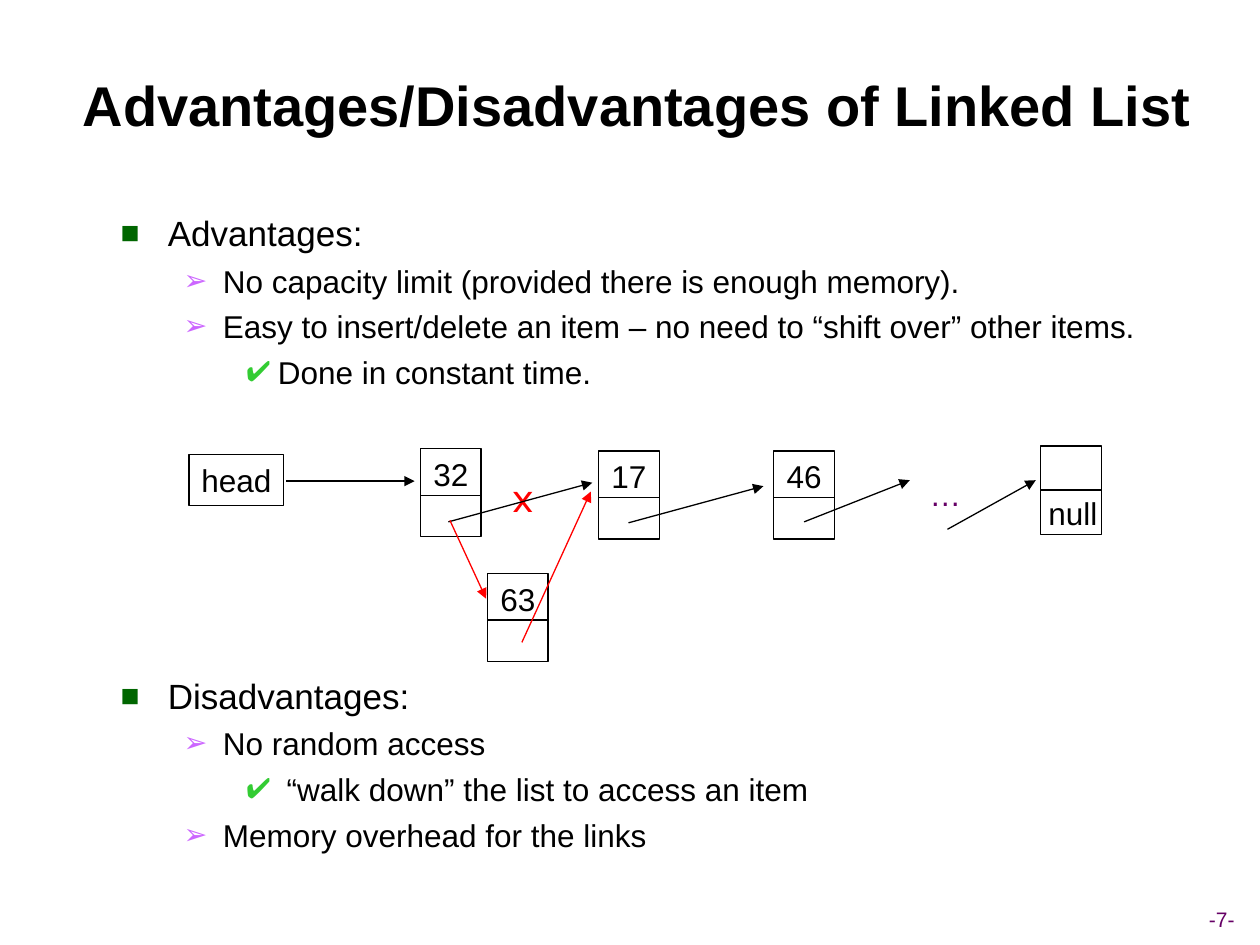
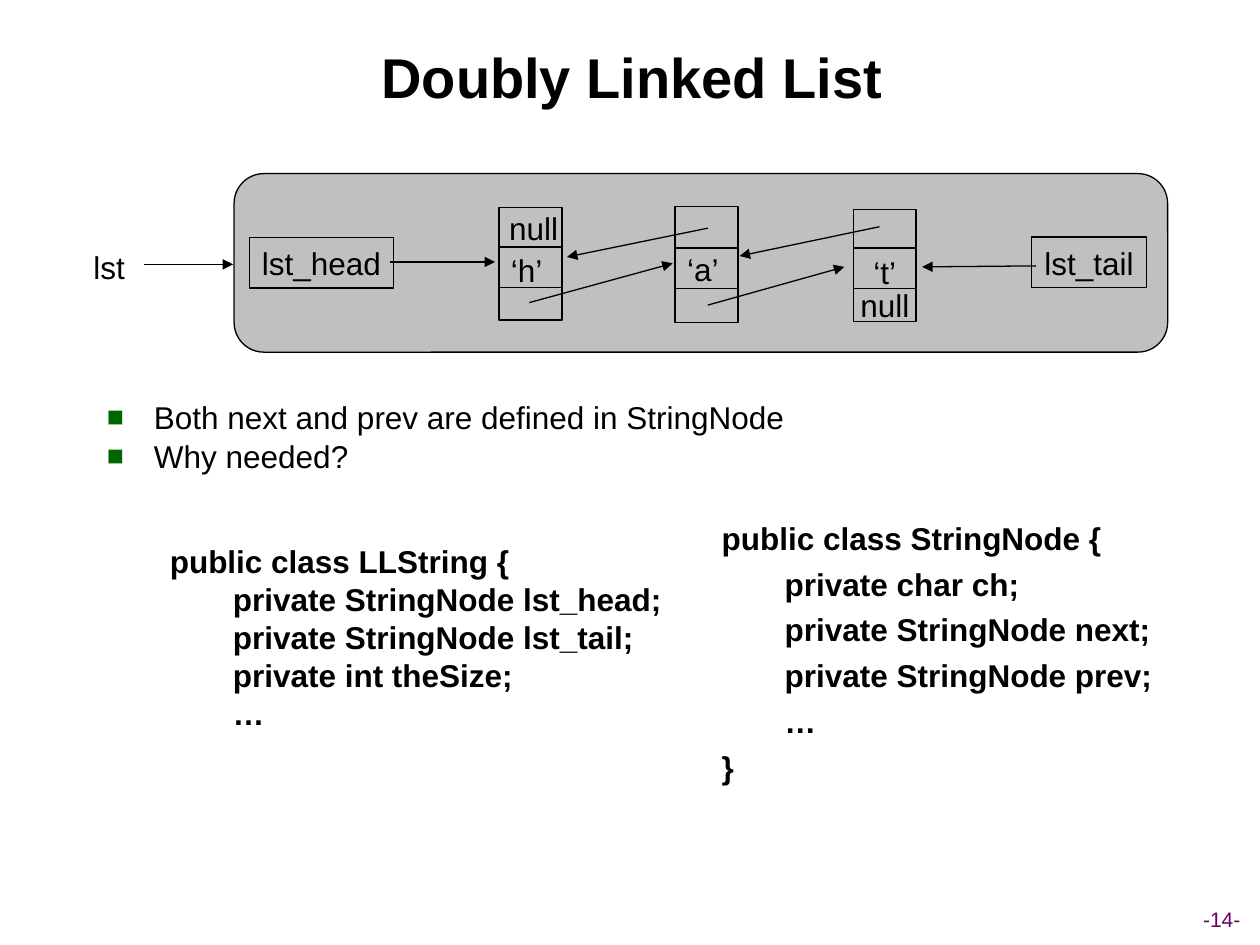
"""Build two lecture slides on singly and doubly linked lists."""
from lxml import etree
from pptx import Presentation, util as u
from pptx.dml.color import RGBColor
from pptx.enum import shapes, text
from pptx.oxml.ns import qn

Cm, Pt = u.Cm, u.Pt
COLOURS = {"ink": "000000", "page": "660066", "change": "FF0000", "panel": "C0C0C0",
           "square": "006600", "arrow": "CC66FF", "check": "33CC33"}
LEVELS = [("■", "square", 0.95, 0.95), ("➢", "arrow", 2.06, 0.79), ("✔", "check", 3.17, 0.64)]
CODE_MARGINS = [0, 1.27, 2.54]
LINE_WIDTH = Pt(0.74)
LIST_GAP = 4.5
TOP, MIDDLE = text.MSO_ANCHOR.TOP, text.MSO_ANCHOR.MIDDLE


def write(frame, words, size=18, colour="ink", bold=False, font="Arial", before=0,
          spacing=None, level=None, code=False):
    paragraph = frame.add_paragraph() if frame.text else frame.paragraphs[0]
    paragraph.space_before = Pt(before)
    if spacing:
        paragraph.line_spacing = spacing
    run = paragraph.add_run()
    run.text = words
    run.font.size, run.font.bold, run.font.name = Pt(size), bold, font
    run.font.color.rgb = RGBColor.from_string(COLOURS[colour])
    if level is None:
        paragraph.alignment = text.PP_ALIGN.CENTER
        return
    paragraph.level = level
    paragraph.alignment = text.PP_ALIGN.LEFT
    sign, sign_colour, margin, hanging = LEVELS[level]
    if code:
        margin, hanging = CODE_MARGINS[level], 0
    properties = paragraph._p.get_or_add_pPr()
    properties.set("marL", str(Cm(margin)))
    properties.set("indent", str(-Cm(hanging)))
    if code:
        etree.SubElement(properties, qn("a:buNone"))
    else:
        fill = etree.SubElement(properties, qn("a:buClr"))
        etree.SubElement(fill, qn("a:srgbClr"), val=COLOURS[sign_colour])
        etree.SubElement(properties, qn("a:buSzPct"), val="90000")
        etree.SubElement(properties, qn("a:buChar"), char=sign)


def connect(slide, x1, y1, x2, y2, colour="ink", arrow=True):
    link = slide.shapes.add_connector(shapes.MSO_CONNECTOR.STRAIGHT, Cm(x1), Cm(y1), Cm(x2), Cm(y2))
    link.line.width = LINE_WIDTH
    link.line.color.rgb = RGBColor.from_string(COLOURS[colour])
    if arrow:
        etree.SubElement(link.line._get_or_add_ln(), qn("a:tailEnd"), type="triangle")
    etree.SubElement(link._element.spPr, qn("a:effectLst"))


deck = Presentation()
deck.slide_width, deck.slide_height = Cm(25.4), Cm(19.05)

pages = [("Advantages/Disadvantages of Linked List", "-7-", (1.07, 0.89), (2.18, 4.14)),
         ("Doubly Linked List", "-14-", (0.97, 0.32), (1.9, 5.13))]
slides, bodies = [], []
for heading, number, title_at, body_at in pages:
    slide = deck.slides.add_slide(deck.slide_layouts[1])
    title, body = slide.placeholders
    for part, (left, top), width, height, anchor in [(title, title_at, 23.55, 2.41, MIDDLE),
                                                     (body, body_at, 21.29, 13.34, TOP)]:
        part.left, part.top, part.width, part.height = Cm(left), Cm(top), Cm(width), Cm(height)
        part.text_frame.auto_size = text.MSO_AUTO_SIZE.NONE
        part.text_frame.vertical_anchor = anchor
    write(title.text_frame, heading, size=32, bold=True)
    footer = slide.shapes.add_textbox(Cm(23.27), Cm(18.14), Cm(2.72), Cm(0.76)).text_frame
    footer.word_wrap = False
    footer.vertical_anchor = MIDDLE
    write(footer, number, size=12, colour="page")
    slides.append(slide)
    bodies.append(body.text_frame)
single, double = slides

comparison = [
    (0, "Advantages:", 20, 0),
    (1, "No capacity limit (provided there is enough memory).", 18, LIST_GAP),
    (1, "Easy to insert/delete an item – no need to “shift over” other items.", 18, LIST_GAP),
    (2, "Done in constant time.", 18, LIST_GAP),
    (0, "Disadvantages:", 20, 162),
    (1, "No random access", 18, LIST_GAP),
    (2, " “walk down” the list to access an item", 18, LIST_GAP),
    (1, "Memory overhead for the links", 18, LIST_GAP),
]
for level, words, size, before in comparison:
    write(bodies[0], words, size, before=before, level=level)

bodies[1].margin_top = Cm(3.05)
for words in ["Both next and prev are defined in StringNode", "Why needed?"]:
    write(bodies[1], words, before=LIST_GAP, spacing=0.8, level=0)
list_class = [(1, "public class LLString {", 42.8), (2, "private StringNode lst_head;", LIST_GAP),
              (2, "private StringNode lst_tail;", LIST_GAP), (2, "private int theSize;", LIST_GAP),
              (2, "…", LIST_GAP)]
for level, words, before in list_class:
    write(bodies[1], words, bold=True, before=before, spacing=0.8, level=level, code=True)

node_class = double.shapes.add_textbox(Cm(13.03), Cm(10.34), Cm(11.79), Cm(6.1)).text_frame
node_class.word_wrap = True
node_lines = [(1, "public class StringNode {"), (2, "private char ch;"),
              (2, "private StringNode next;"), (2, "private StringNode prev;"),
              (2, "…"), (1, "}")]
for level, words in node_lines:
    write(node_class, words, bold=True, before=LIST_GAP, level=level, code=True)

panel = double.shapes.add_shape(shapes.MSO_SHAPE.ROUNDED_RECTANGLE,
                                Cm(4.72), Cm(3.5), Cm(18.82), Cm(3.6))
panel.shadow.inherit = False
panel.fill.solid()
panel.fill.fore_color.rgb = RGBColor.from_string(COLOURS["panel"])
panel.line.color.rgb = RGBColor.from_string(COLOURS["ink"])
panel.line.width = LINE_WIDTH

cells = [
    (single, "head", 3.81, 9.17, 1.91, 1.02, 0.13, []),
    (single, "32", 8.48, 9.04, 1.22, 1.78, 0.13, [9.99]),
    (single, "17", 12.07, 9.09, 1.22, 1.78, 0.13, [10.03]),
    (single, "46", 15.6, 9.09, 1.22, 1.78, 0.13, [10.03]),
    (single, "", 20.98, 8.99, 1.22, 1.78, 0.13, [9.88]),
    (single, "63", 9.83, 11.56, 1.22, 1.78, 0.13, [12.5]),
    (double, "lst_head", 5.03, 4.79, 2.9, 1.02, 0.13, []),
    (double, "‘h’ ", 10.06, 4.19, 1.27, 2.26, 0.88, [4.98, 5.79]),
    (double, "‘a’ ", 13.61, 4.17, 1.27, 2.34, 0.88, [5.0, 5.82]),
    (double, "‘t’", 17.2, 4.23, 1.27, 2.26, 0.88, [5.0, 5.82]),
    (double, "lst_tail", 20.8, 4.78, 2.31, 1.02, 0.13, []),
]
for slide, words, left, top, width, height, inset, dividers in cells:
    cell = slide.shapes.add_shape(shapes.MSO_SHAPE.RECTANGLE, Cm(left), Cm(top), Cm(width), Cm(height))
    cell.shadow.inherit = False
    cell.fill.background()
    cell.line.color.rgb = RGBColor.from_string(COLOURS["ink"])
    cell.line.width = LINE_WIDTH
    cell.text_frame.word_wrap = False
    cell.text_frame.vertical_anchor = TOP
    cell.text_frame.margin_top = Cm(inset)
    if words:
        write(cell.text_frame, words)
    for y in dividers:
        connect(slide, left, y, left + width, y, arrow=False)

labels = [
    (single, "…", 18.49, 9.45, 1.14, 1.78, 18, "page", "Arial"),
    (single, "x", 10.08, 9.37, 0.94, 1.27, 24, "change", "Karla"),
    (single, "null", 20.88, 9.83, 1.5, 1.02, 18, "ink", "Arial"),
    (double, "null", 10.01, 4.09, 1.5, 1.02, 18, "ink", "Arial"),
    (double, "null", 17.09, 5.64, 1.5, 1.02, 18, "ink", "Arial"),
    (double, "lst", 1.63, 4.88, 1.14, 1.02, 18, "ink", "Arial"),
]
for slide, words, left, top, width, height, size, colour, font in labels:
    label = slide.shapes.add_textbox(Cm(left), Cm(top), Cm(width), Cm(height)).text_frame
    label.word_wrap = False
    write(label, words, size, colour, font=font)

references = [
    (single, 5.77, 9.7, 8.36, 9.7, "ink"),
    (single, 9.04, 10.52, 11.94, 9.73, "ink"),
    (single, 12.67, 10.54, 15.39, 9.8, "ink"),
    (single, 16.21, 10.52, 18.34, 9.68, "ink"),
    (single, 19.1, 10.67, 20.88, 9.68, "ink"),
    (single, 9.07, 10.49, 9.8, 12.07, "change"),
    (single, 10.52, 12.95, 11.91, 9.91, "change"),
    (double, 2.9, 5.33, 4.7, 5.33, "ink"),
    (double, 7.87, 5.28, 9.98, 5.28, "ink"),
    (double, 10.67, 6.1, 13.56, 5.31, "ink"),
    (double, 14.27, 6.15, 17.02, 5.38, "ink"),
    (double, 17.73, 4.57, 14.91, 5.16, "ink"),
    (double, 14.27, 4.6, 11.43, 5.18, "ink"),
    (double, 20.88, 5.36, 18.59, 5.38, "ink"),
]
for reference in references:
    connect(*reference)

deck.save("out.pptx")
